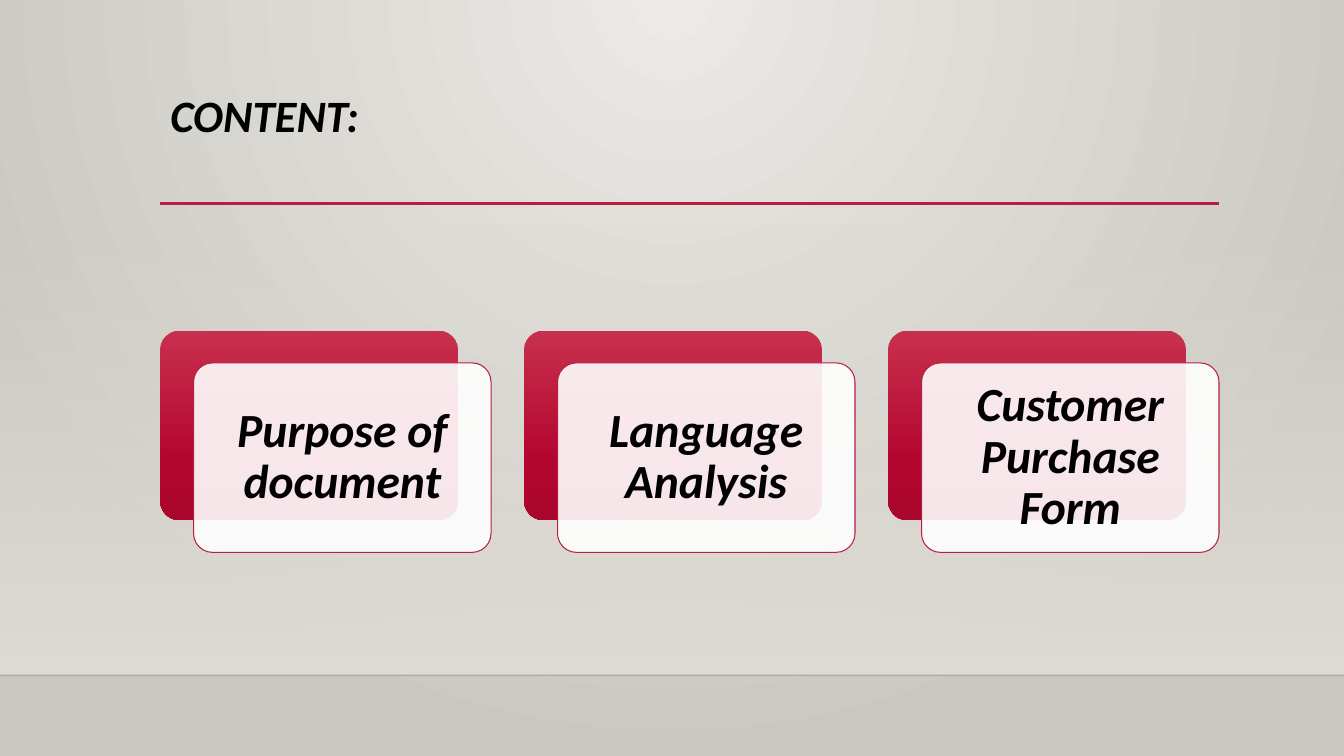
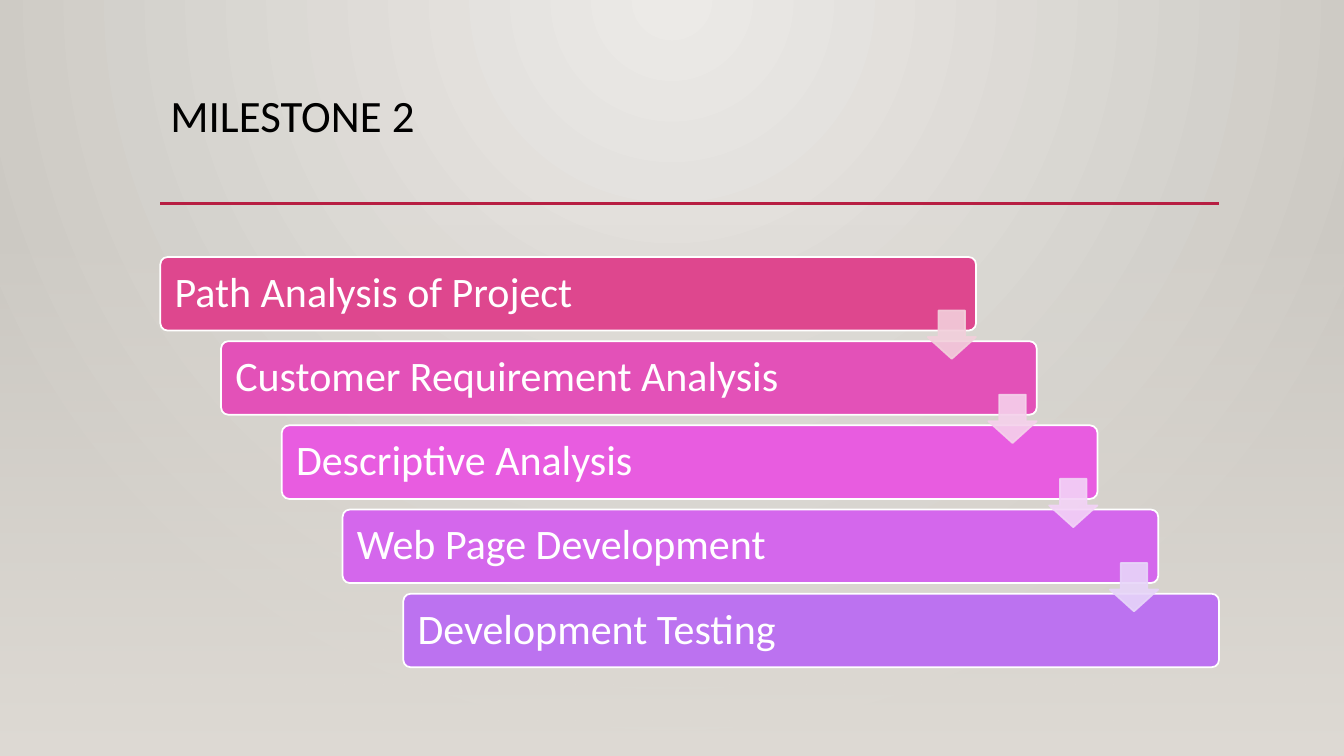
from lxml.etree import SubElement
from pptx import Presentation
from pptx.dml.color import RGBColor
from pptx.enum.shapes import MSO_CONNECTOR, MSO_SHAPE
from pptx.enum.text import MSO_ANCHOR, PP_ALIGN
from pptx.oxml.ns import qn
from pptx.util import Inches, Pt

FONT = "Calibri"
BLACK = RGBColor(0x00, 0x00, 0x00)
WHITE = RGBColor(0xFF, 0xFF, 0xFF)
CRIMSON = RGBColor(0xB7, 0x1E, 0x42)
WALL_LIGHT = RGBColor(0xEC, 0xEA, 0xE7)
WALL_DARK = RGBColor(0xCA, 0xC7, 0xC1)
HAZE = RGBColor(0xDF, 0xDB, 0xD5)
CARD_STOPS = [(0, RGBColor(0xC7, 0x30, 0x4C), 100),
              (69, RGBColor(0xB3, 0x06, 0x2F), 100),
              (100, RGBColor(0xAA, 0x06, 0x2C), 100)]
STEP_COLORS = [RGBColor(0xDE, 0x47, 0x8E), RGBColor(0xE3, 0x51, 0xB8),
               RGBColor(0xE8, 0x5C, 0xE0), RGBColor(0xD4, 0x67, 0xEC),
               RGBColor(0xBC, 0x72, 0xF0)]
ARROW_COLORS = [RGBColor(0xF2, 0xCF, 0xDB), RGBColor(0xF5, 0xD1, 0xEB),
                RGBColor(0xF3, 0xD3, 0xF7), RGBColor(0xE7, 0xD5, 0xF9)]

SLIDE_WIDTH, SLIDE_HEIGHT = 13.33, 7.5
LEFT, CONTENT_WIDTH = 1.59, 10.5
HAZE_TOP, FLOOR_TOP = 2.21, 6.7


# Fills and lines
def set_opacity(element, percent):
    for color in element.iter(qn("a:srgbClr")):
        SubElement(color, qn("a:alpha"), val=str(percent * 1000))


def set_gradient(fill, element, stops, radial=False):
    """Fill with (position, color, opacity) stops, downward or from the top centre."""
    fill.gradient()
    gradient = next(element.iter(qn("a:gradFill")))
    for child in list(gradient):
        gradient.remove(child)
    stop_list = SubElement(gradient, qn("a:gsLst"))
    for position, color, opacity in stops:
        stop = SubElement(stop_list, qn("a:gs"), pos=str(position * 1000))
        SubElement(stop, qn("a:srgbClr"), val=str(color))
        set_opacity(stop, opacity)
    if radial:
        circle = SubElement(gradient, qn("a:path"), path="circle")
        SubElement(circle, qn("a:fillToRect"), l="43000", t="0", r="43000", b="100000")
    else:
        SubElement(gradient, qn("a:lin"), ang="5400000", scaled="0")


def add_line(slide, left, top, width, color, points, opacity=100):
    line = slide.shapes.add_connector(MSO_CONNECTOR.STRAIGHT, Inches(left), Inches(top),
                                      Inches(left + width), Inches(top))
    line.line.color.rgb = color
    line.line.width = Pt(points)
    properties = line.element.spPr
    set_opacity(properties, opacity)
    SubElement(properties, qn("a:effectLst"))


def add_box(slide, kind, left, top, width, height, adjustments=()):
    shape = slide.shapes.add_shape(kind, Inches(left), Inches(top),
                                   Inches(width), Inches(height))
    shape.shadow.inherit = False
    shape.line.fill.background()
    for index, value in enumerate(adjustments):
        shape.adjustments[index] = value
    return shape


def set_solid(shape, fill, opacity=100):
    shape.fill.solid()
    shape.fill.fore_color.rgb = fill
    set_opacity(shape.element.spPr, opacity)


def set_outline(shape, color, points):
    shape.line.color.rgb = color
    shape.line.width = Pt(points)


# Text
def set_text(shape, text, size, color, align=PP_ALIGN.LEFT, anchor=MSO_ANCHOR.MIDDLE,
             emphasis=False, inset=0.1):
    frame = shape.text_frame
    frame.text = text
    frame.word_wrap = True
    frame.vertical_anchor = anchor
    frame.margin_left = frame.margin_right = Inches(inset)
    frame.margin_top = frame.margin_bottom = Inches(min(inset, 0.05))
    paragraph = frame.paragraphs[0]
    paragraph.alignment = align
    paragraph.line_spacing = 0.9
    font = paragraph.font
    font.name, font.size, font.color.rgb = FONT, Pt(size), color
    font.bold = font.italic = emphasis


# Shared backdrop, title and rule
def add_titled_slide(presentation, title, emphasis=False, floor=False):
    slide = presentation.slides.add_slide(presentation.slide_layouts[5])
    haze_bottom = FLOOR_TOP if floor else SLIDE_HEIGHT
    haze = add_box(slide, MSO_SHAPE.RECTANGLE, 0, HAZE_TOP, SLIDE_WIDTH,
                   haze_bottom - HAZE_TOP)
    set_gradient(haze.fill, haze.element.spPr, [(0, HAZE, 0), (100, HAZE, 100)])
    if floor:
        add_line(slide, 0, FLOOR_TOP, SLIDE_WIDTH, BLACK, 1, opacity=20)
    add_line(slide, LEFT, 2.02, CONTENT_WIDTH, CRIMSON, 2.5)
    heading = slide.shapes.title
    heading.left, heading.top = Inches(LEFT), Inches(0.88)
    heading.width, heading.height = Inches(CONTENT_WIDTH), Inches(1.15)
    set_text(heading, title, 32, BLACK, anchor=MSO_ANCHOR.TOP, emphasis=emphasis)
    return slide


# Row of layered cards
def add_cards(slide, labels, left, top, width):
    card_width, card_height, offset = 2.95, 1.88, 0.33
    pitch = (width - card_width - offset) / (len(labels) - 1)
    for index, label in enumerate(labels):
        x = left + index * pitch
        back = add_box(slide, MSO_SHAPE.ROUNDED_RECTANGLE, x, top,
                       card_width, card_height, [0.1])
        set_gradient(back.fill, back.element.spPr, CARD_STOPS)
        front = add_box(slide, MSO_SHAPE.ROUNDED_RECTANGLE, x + offset, top + 0.32,
                        card_width, card_height, [0.1])
        set_solid(front, WHITE, opacity=90)
        set_outline(front, CRIMSON, 0.75)
        set_text(front, label, 34, BLACK, PP_ALIGN.CENTER, emphasis=True, inset=0.14)


# Staircase of steps joined by arrows
def add_steps(slide, labels, left, top, width, height):
    step_width, step_height, arrow_size = 8.09, 0.73, 0.48
    across = (width - step_width) / (len(labels) - 1)
    down = (height - step_height) / (len(labels) - 1)
    for index, (label, color) in enumerate(zip(labels, STEP_COLORS)):
        step = add_box(slide, MSO_SHAPE.ROUNDED_RECTANGLE, left + index * across,
                       top + index * down, step_width, step_height, [0.1])
        set_solid(step, color)
        set_outline(step, WHITE, 1.25)
        set_text(step, label, 30, WHITE, inset=0.12)
    for index, color in enumerate(ARROW_COLORS):
        arrow = add_box(slide, MSO_SHAPE.DOWN_ARROW,
                        left + index * across + step_width - arrow_size,
                        top + index * down + 0.53, arrow_size, arrow_size)
        arrow.adjustments[0], arrow.adjustments[1] = 0.45, 0.55
        # The shaft is 55% of the width, the head 45% of the height
        arrow.adjustments[0], arrow.adjustments[1] = 0.55, 0.45
        set_solid(arrow, color, opacity=90)
        set_outline(arrow, color, 1.25)
        set_opacity(arrow.line.fill.fore_color and arrow.element.spPr.find(qn("a:ln")), 90)


def main():
    presentation = Presentation()
    presentation.slide_width = Inches(SLIDE_WIDTH)
    presentation.slide_height = Inches(SLIDE_HEIGHT)
    master = presentation.slide_master
    set_gradient(master.background.fill, master.element,
                 [(0, WALL_LIGHT, 100), (100, WALL_DARK, 100)], radial=True)

    content = add_titled_slide(presentation, "CONTENT:", emphasis=True, floor=True)
    add_cards(content, ["Purpose of document", "Language Analysis",
                        "Customer Purchase Form"], LEFT, 3.28, CONTENT_WIDTH)

    milestone = add_titled_slide(presentation, "MILESTONE 2")
    add_steps(milestone, ["Path Analysis of Project", "Customer Requirement Analysis",
                          "Descriptive Analysis", "Web Page Development",
                          "Development Testing"], LEFT, 2.55, CONTENT_WIDTH, 4.07)
    presentation.save("out.pptx")


if __name__ == "__main__":
    main()
